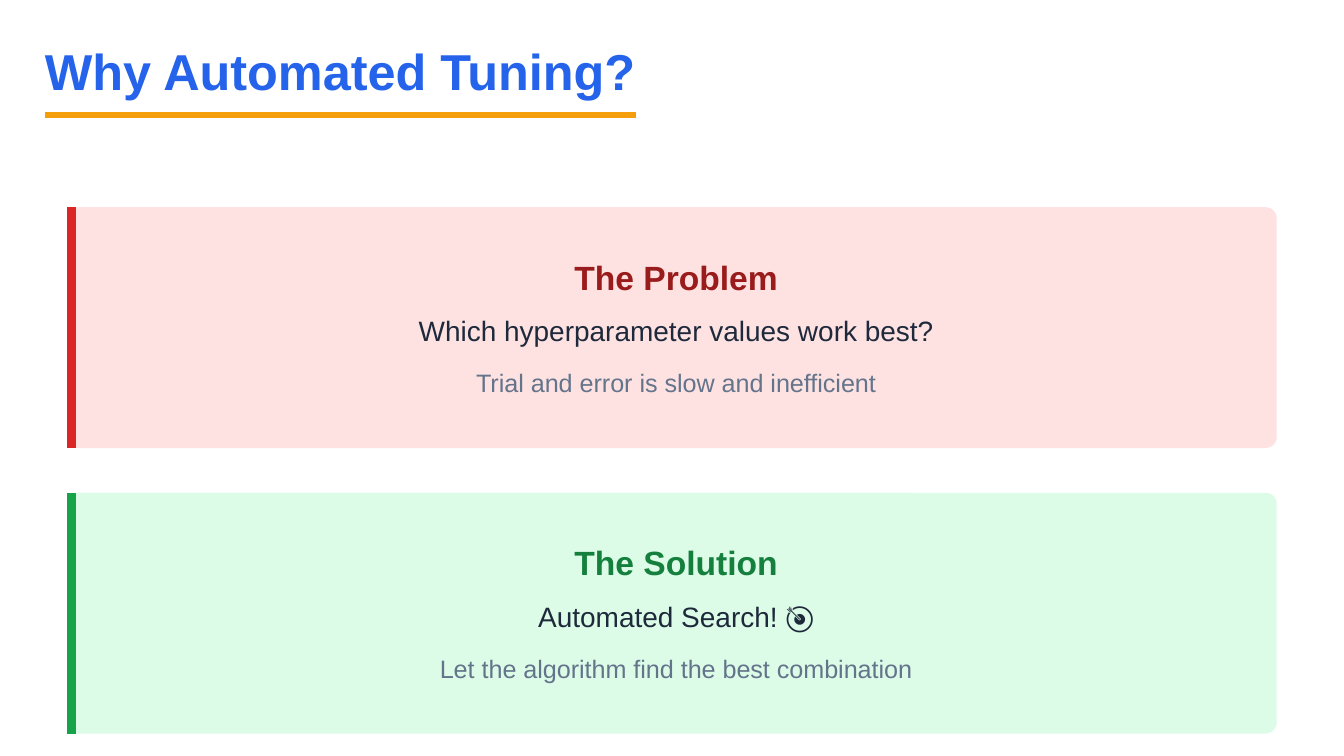
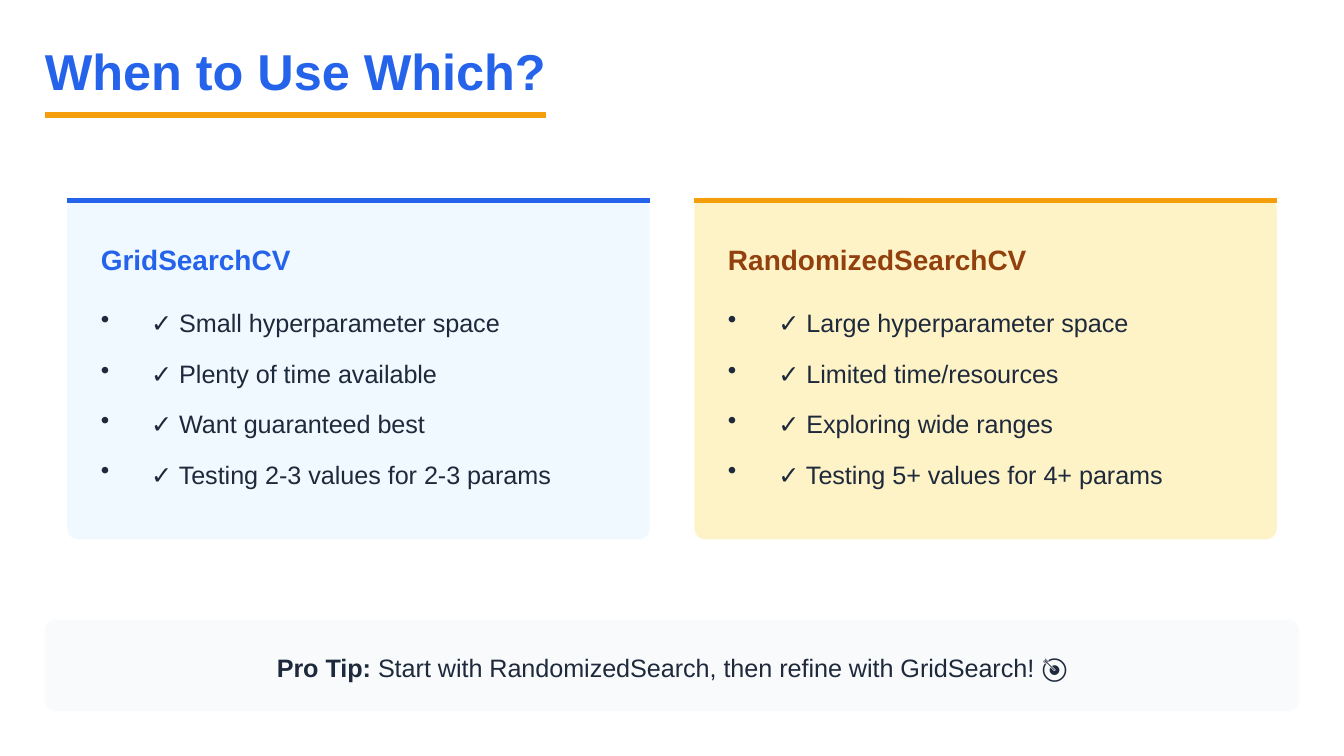
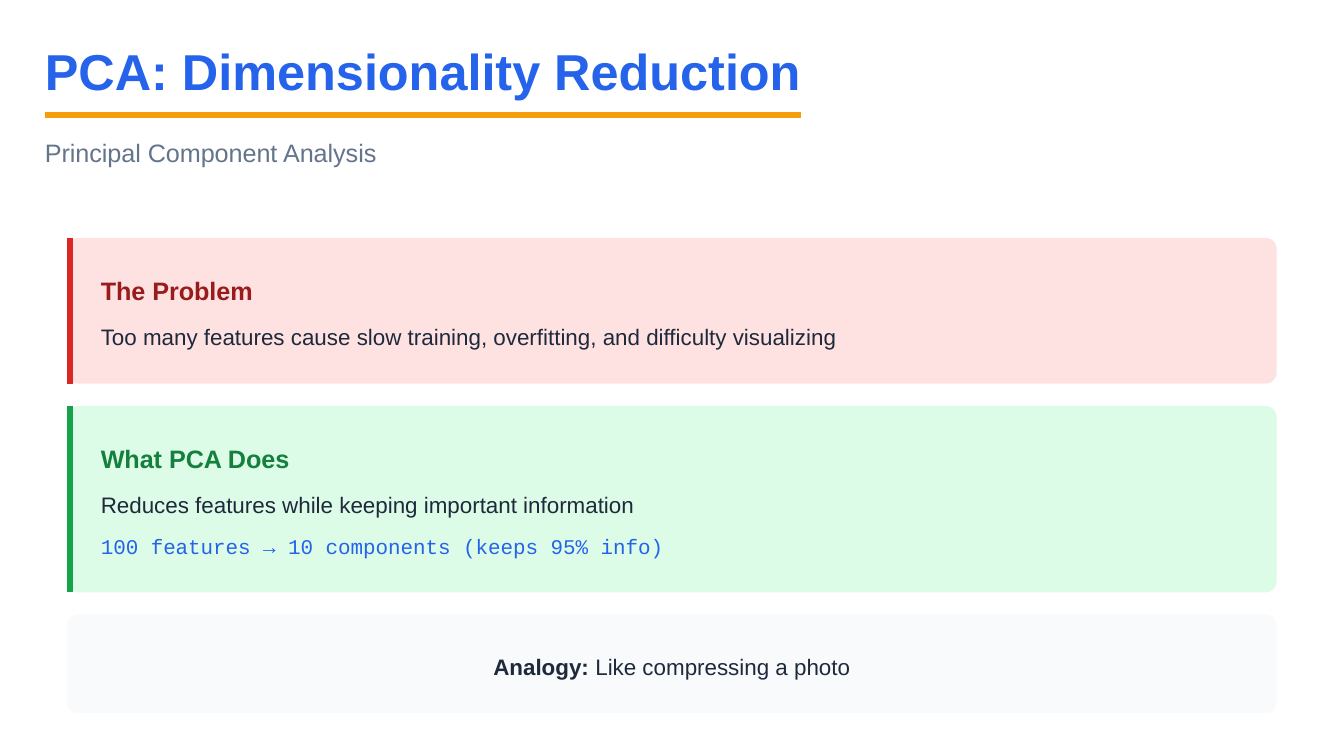
"""Build three slides on hyperparameter search and dimensionality reduction."""
from lxml import etree
from pptx import Presentation
from pptx.dml.color import RGBColor
from pptx.enum.shapes import MSO_CONNECTOR, MSO_SHAPE
from pptx.enum.text import MSO_ANCHOR, MSO_AUTO_SIZE, PP_ALIGN
from pptx.oxml.ns import qn
from pptx.util import Pt

STRAIGHT = MSO_CONNECTOR.STRAIGHT
ROUNDED = MSO_SHAPE.ROUNDED_RECTANGLE
TOP = MSO_ANCHOR.TOP
NO_FIT = MSO_AUTO_SIZE.NONE
LEFT, CENTER = PP_ALIGN.LEFT, PP_ALIGN.CENTER

BLUE = RGBColor(0x25, 0x63, 0xEB)
AMBER = RGBColor(0xF5, 0x9E, 0x0B)
RED = RGBColor(0xDC, 0x26, 0x26)
GREEN = RGBColor(0x16, 0xA3, 0x4A)
DARK_RED = RGBColor(0x99, 0x1B, 0x1B)
DARK_GREEN = RGBColor(0x15, 0x80, 0x3D)
BROWN = RGBColor(0x92, 0x40, 0x0E)
INK = RGBColor(0x1E, 0x29, 0x3B)
SLATE = RGBColor(0x64, 0x74, 0x8B)
PALE_RED = RGBColor(0xFE, 0xE2, 0xE2)
PALE_GREEN = RGBColor(0xDC, 0xFC, 0xE7)
PALE_BLUE = RGBColor(0xF0, 0xF9, 0xFF)
PALE_AMBER = RGBColor(0xFE, 0xF3, 0xC7)
PALE_GRAY = RGBColor(0xF8, 0xFA, 0xFC)

SLIDE_WIDTH, SLIDE_HEIGHT = 720, 405
MARGIN, CARD_LEFT, CARD_WIDTH = 24, 36, 648
RADIUS, RULE_TOP, RULE_WEIGHT = 6, 61.5, 3
BULLET_INDENT = 27

HEADING = dict(size=18, leading=24, after=6, bold=True, align=CENTER)
QUESTION = dict(size=15, leading=21, after=6, align=CENTER)
REMARK = dict(size=13.5, leading=21, after=3, color=SLATE, align=CENTER)
SMALL_HEADING = dict(size=13.5, leading=21, after=6, bold=True)
BODY = dict(size=12, leading=18)
CODE = dict(size=11.2, leading=15.8, after=3, color=BLUE, font="Courier New")

WHY_CARDS = [
    (PALE_RED, RED, [
        ("The Problem", dict(HEADING, color=DARK_RED)),
        ("Which hyperparameter values work best?", QUESTION),
        ("Trial and error is slow and inefficient", REMARK)]),
    (PALE_GREEN, GREEN, [
        ("The Solution", dict(HEADING, color=DARK_GREEN)),
        ("Automated Search! 🎯", QUESTION),
        ("Let the algorithm find the best combination", REMARK)]),
]
METHODS = [
    ("GridSearchCV", BLUE, PALE_BLUE, BLUE, [
        "✓ Small hyperparameter space",
        "✓ Plenty of time available",
        "✓ Want guaranteed best",
        "✓ Testing 2-3 values for 2-3 params"]),
    ("RandomizedSearchCV", BROWN, PALE_AMBER, AMBER, [
        "✓ Large hyperparameter space",
        "✓ Limited time/resources",
        "✓ Exploring wide ranges",
        "✓ Testing 5+ values for 4+ params"]),
]
PCA_CARDS = [
    (PALE_RED, RED, [
        ("The Problem", dict(SMALL_HEADING, color=DARK_RED)),
        ("Too many features cause slow training, overfitting, and difficulty "
         "visualizing", dict(BODY, after=3))]),
    (PALE_GREEN, GREEN, [
        ("What PCA Does", dict(SMALL_HEADING, color=DARK_GREEN)),
        ("Reduces features while keeping important information",
         dict(BODY, after=6)),
        ("100 features → 10 components (keeps 95% info)", CODE)]),
]


def write_text(box, text, size=12, leading=18, after=0, color=INK, bold=False,
               align=LEFT, font="Arial", lead="", bullet=""):
    """Fill a box with one paragraph per line of text, after a bold lead."""
    frame = box.text_frame
    frame.margin_left = frame.margin_right = 0
    frame.margin_top = frame.margin_bottom = 0
    frame.word_wrap = True
    frame.auto_size = NO_FIT
    frame.vertical_anchor = TOP
    for number, line in enumerate(text.split("\n")):
        para = frame.add_paragraph() if number else frame.paragraphs[0]
        para.alignment = align
        para.line_spacing = Pt(leading)
        para.space_before = Pt(0)
        para.space_after = Pt(after)
        if bullet:
            properties = para._p.get_or_add_pPr()
            properties.set("marL", str(Pt(BULLET_INDENT)))
            properties.set("indent", str(-Pt(BULLET_INDENT)))
            etree.SubElement(properties, qn("a:buChar"), char=bullet)
        for part, is_bold in ((lead, True), (line, bold)):
            if part:
                span = para.add_run()
                span.text = part
                span.font.name = font
                span.font.size = Pt(size)
                span.font.bold = is_bold
                span.font.color.rgb = color


def add_text(slide, text, left, top, width, height, **style):
    """Add a text box with formatted text."""
    box = slide.shapes.add_textbox(Pt(left), Pt(top), Pt(width), Pt(height))
    write_text(box, text, **style)


def add_rule(slide, start, end, color, weight):
    """Draw a straight line without shadow."""
    rule = slide.shapes.add_connector(
        STRAIGHT, *(Pt(value) for value in (*start, *end)))
    rule.line.color.rgb = color
    rule.line.width = Pt(weight)
    etree.SubElement(rule._element.spPr, qn("a:effectLst"))


def add_panel(slide, left, top, width, height, fill):
    """Draw a rounded panel with a fixed corner radius."""
    panel = slide.shapes.add_shape(
        ROUNDED, Pt(left), Pt(top), Pt(width), Pt(height))
    panel.adjustments[0] = RADIUS / min(width, height)
    panel.shadow.inherit = False
    panel.fill.solid()
    panel.fill.fore_color.rgb = fill
    panel.line.fill.background()


def add_slide(deck, title, rule_width):
    """Add a slide with its title and amber underline."""
    slide = deck.slides.add_slide(deck.slide_layouts[5])
    add_rule(slide, (MARGIN, RULE_TOP), (MARGIN + rule_width, RULE_TOP),
             AMBER, RULE_WEIGHT)
    box = slide.shapes.title
    box.left, box.top = Pt(MARGIN), Pt(MARGIN)
    box.width, box.height = Pt(rule_width * 1.02), Pt(30)
    write_text(box, title, size=27, leading=30, color=BLUE, bold=True)
    return slide


def add_cards(slide, cards, top, gap, bar, padding, indent, text_width):
    """Stack cards sized by their lines and return the next free top."""
    for fill, accent, lines in cards:
        height = 2 * padding + sum(
            style["leading"] + style["after"] for _, style in lines)
        add_panel(slide, CARD_LEFT, top, CARD_WIDTH, height, fill)
        bar_center = CARD_LEFT + bar / 2
        add_rule(slide, (bar_center, top), (bar_center, top + height),
                 accent, bar)
        line_top = top + padding
        for text, style in lines:
            add_text(slide, text, CARD_LEFT + bar + indent, line_top,
                     text_width, style["leading"], **style)
            line_top += style["leading"] + style["after"]
        top += height + gap
    return top


def add_tip(slide, lead, text, left, top, padding, inset, size, leading):
    """Add a centred gray note that starts with a bold lead."""
    width = SLIDE_WIDTH - 2 * left
    add_panel(slide, left, top, width, leading + 2 * padding, PALE_GRAY)
    add_text(slide, text, left + inset, top + padding, width - 2 * inset,
             leading, lead=lead, size=size, leading=leading, after=3,
             align=CENTER)


def add_methods(slide, top=106, width=312, height=183, gap=24, padding=18):
    """Place the method cards side by side."""
    for column, (name, color, fill, accent, points) in enumerate(METHODS):
        left = CARD_LEFT + column * (width + gap)
        add_panel(slide, left, top, width, height, fill)
        bar_center = top + RULE_WEIGHT / 2
        add_rule(slide, (left, bar_center), (left + width, bar_center),
                 accent, RULE_WEIGHT)
        name_top = top + RULE_WEIGHT + padding
        add_text(slide, name, left + padding, name_top, 281.5, 21,
                 size=15, leading=21, after=12, color=color, bold=True)
        add_text(slide, "\n".join(points), left + padding, name_top + 33,
                 width - 2 * padding, 111,
                 size=13.5, leading=21, after=6, bullet="•")


def main():
    """Build and save the deck."""
    deck = Presentation()
    deck.slide_width, deck.slide_height = Pt(SLIDE_WIDTH), Pt(SLIDE_HEIGHT)

    why = add_slide(deck, "Why Automated Tuning?", 316.5)
    add_cards(why, WHY_CARDS, top=111, gap=24, bar=4.5, padding=24,
              indent=18, text_width=607.5)

    which = add_slide(deck, "When to Use Which?", 268.5)
    add_methods(which)
    add_tip(which, "Pro Tip:",
            " Start with RandomizedSearch, then refine with GridSearch! 🎯",
            MARGIN, 332, padding=15, inset=5.5, size=13.5, leading=18.9)

    pca = add_slide(deck, "PCA: Dimensionality Reduction", 405)
    add_text(pca, "Principal Component Analysis", MARGIN, 69, 685.5, 21,
             size=13.5, leading=21, after=3, color=SLATE)
    tip_top = add_cards(pca, PCA_CARDS, top=127.5, gap=12, bar=3, padding=15,
                        indent=15, text_width=627)
    add_tip(pca, "Analogy:", " Like compressing a photo", CARD_LEFT, tip_top,
            padding=18, inset=8.5, size=12, leading=16.8)

    deck.save("out.pptx")


if __name__ == "__main__":
    main()
